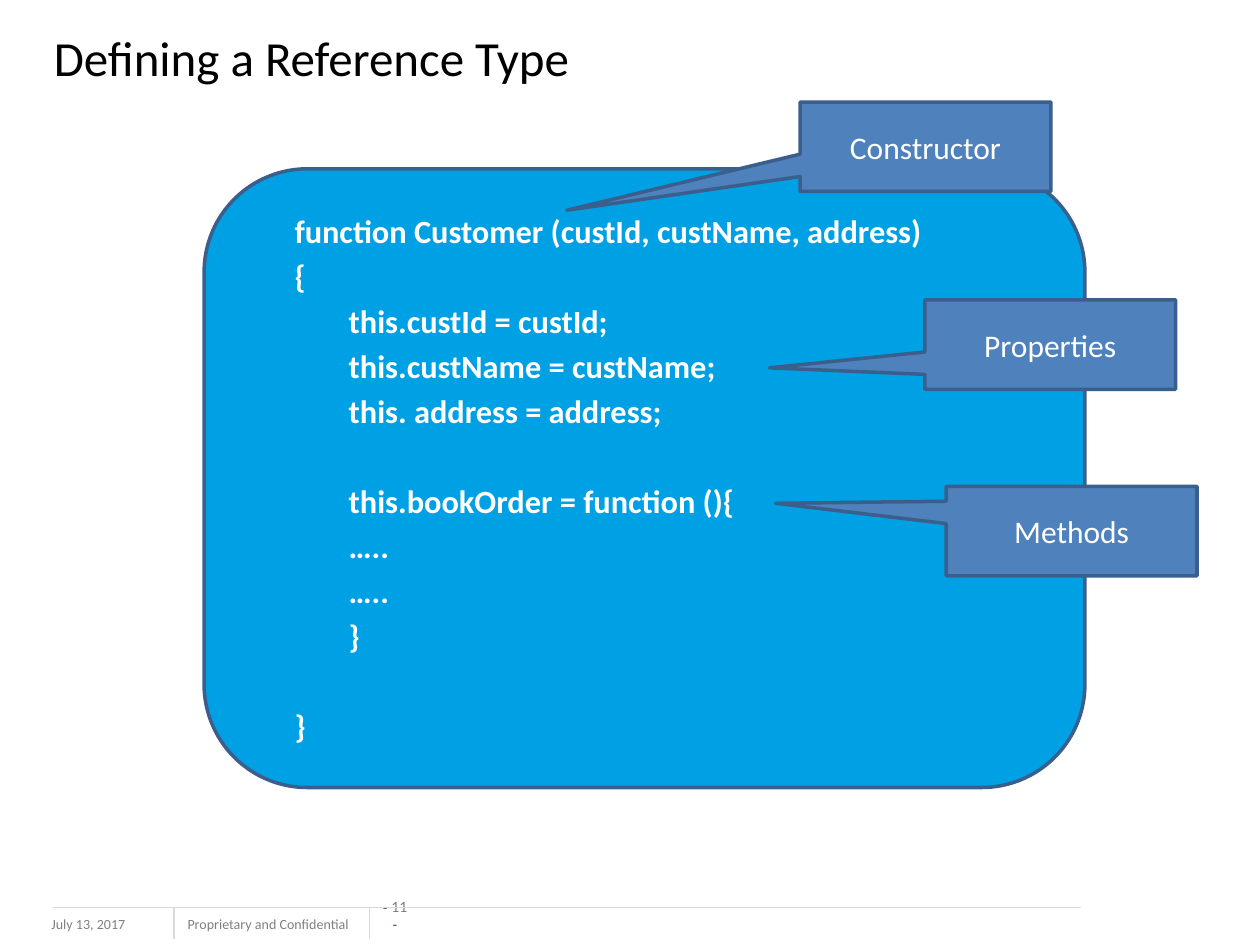
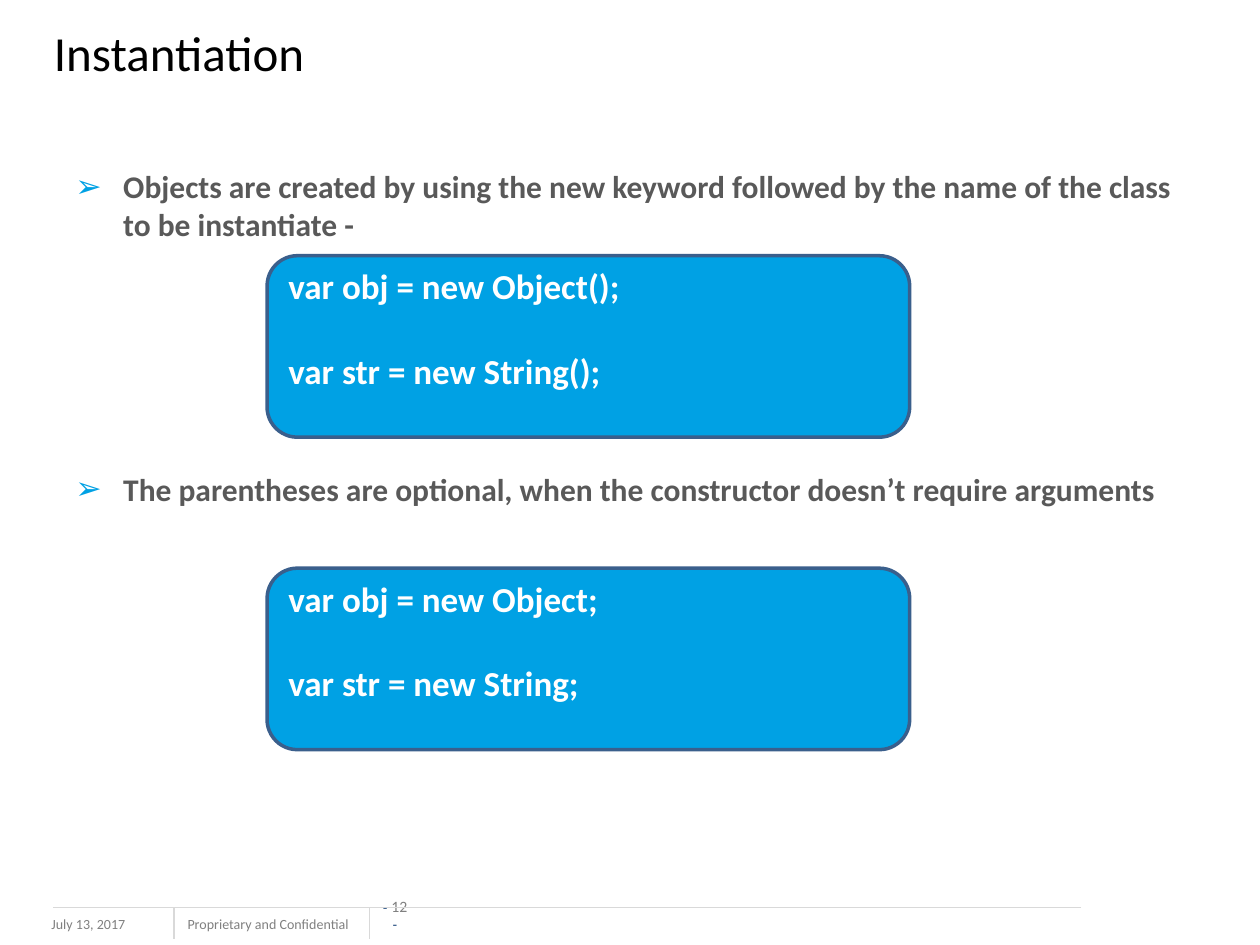
from lxml import etree
from pptx import Presentation
from pptx.dml.color import RGBColor
from pptx.enum.shapes import MSO_CONNECTOR as CONN, MSO_SHAPE as SHAPE
from pptx.enum.text import MSO_ANCHOR as ANCHOR, PP_ALIGN as ALIGN
from pptx.oxml.ns import qn
from pptx.util import Inches, Pt

BLACK = RGBColor(0x00, 0x00, 0x00)
WHITE = RGBColor(0xFF, 0xFF, 0xFF)
TEXT_GREY = RGBColor(0x59, 0x59, 0x59)
FOOT_GREY = RGBColor(0x80, 0x80, 0x80)
RULE_GREY = RGBColor(0xD9, 0xD9, 0xD9)
NAVY = RGBColor(0x1F, 0x49, 0x7D)
SKY = RGBColor(0x00, 0xA1, 0xE4)
STEEL = RGBColor(0x4F, 0x81, 0xBD)
EDGE = RGBColor(0x3A, 0x5F, 0x8C)

prs = Presentation()
prs.slide_width, prs.slide_height = Inches(10), Inches(7.5)

# Grid of 100 columns by 75 rows
COL = prs.slide_width / 100
ROW = prs.slide_height / 75


def add_box(s, x, y, w, h, shape=None, fill=None, anchor=ANCHOR.TOP):
    """Place a text box, or an outlined preset shape, on the grid."""
    at = [int(n) for n in (x * COL, y * ROW, w * COL, h * ROW)]
    if shape is None:
        sp = s.shapes.add_textbox(*at)
    else:
        sp = s.shapes.add_shape(shape, *at)
        sp.shadow.inherit = False
        sp.fill.solid()
        sp.fill.fore_color.rgb = fill
        sp.line.color.rgb = EDGE
        sp.line.width = Pt(2)
    sp.text_frame.word_wrap = True
    sp.text_frame.vertical_anchor = anchor
    return sp


def add_run(p, text, size, color, bold=False, font="Calibri"):
    r = p.add_run()
    r.text = text
    r.font.name, r.font.size, r.font.bold = font, Pt(size), bold
    r.font.color.rgb = color


# Shared parts: footer, rules and title
RULES = [(85.8, 72, 4.2, 72), (13.8, 72, 13.8, 74.5), (29.3, 72, 29.3, 74.5)]
TITLES = [("Defining a Reference Type", None), ("Instantiation", Pt(28))]

slides = []
for number, (title, spacing) in enumerate(TITLES, start=11):
    s = prs.slides.add_slide(prs.slide_layouts[6])
    slides.append(s)

    for x, w, text in [(3.1, 13.3, "July 13, 2017"),
                       (13.9, 15.7, "Proprietary and Confidential")]:
        tf = add_box(s, x, 72.2, w, 2.5).text_frame
        add_run(tf.paragraphs[0], text, 8, FOOT_GREY)

    tf = add_box(s, 30.1, 72.5, 2.5, 1.5, anchor=ANCHOR.BOTTOM).text_frame
    tf.margin_left = tf.margin_right = tf.margin_top = tf.margin_bottom = 0
    p = tf.paragraphs[0]
    p.alignment = ALIGN.CENTER
    add_run(p, "- ", 8, NAVY, font="Arial")
    add_run(p, f"{number} ", 9, FOOT_GREY)
    add_run(p, "-", 8, NAVY, font="Arial")

    for x1, y1, x2, y2 in RULES:
        rule = s.shapes.add_connector(CONN.STRAIGHT, int(x1 * COL), int(y1 * ROW),
                                      int(x2 * COL), int(y2 * ROW))
        rule.line.color.rgb = RULE_GREY
        rule.line.width = Pt(0.75)
        etree.SubElement(rule._element.spPr, qn("a:effectLst"))

    tf = add_box(s, 3.3, 0.2, 90, 8.7, anchor=ANCHOR.MIDDLE).text_frame
    p = tf.paragraphs[0]
    if spacing:
        p.line_spacing = spacing
    add_run(p, title, 28, BLACK)

reference, instantiation = slides

# Reference type: code panel, as (indent level, space before, line)
TIGHT, GAP = 3.4, 29.4
INDENTS = [3.8 * COL, 8.1 * COL]
CODE = [
    (0, 0, "function Customer (custId, custName, address)"),
    (0, TIGHT, "{"),
    (1, TIGHT, "this.custId = custId;"),
    (1, TIGHT, "this.custName = custName;"),
    (1, TIGHT, "this. address = address;"),
    (1, GAP, "this.bookOrder = function (){"),
    (1, TIGHT, "….."),
    (1, TIGHT, "….."),
    (1, TIGHT, "}"),
    (0, GAP, "}"),
]
tf = add_box(reference, 16.2, 13.4, 69.9, 49.1, SHAPE.ROUNDED_RECTANGLE, SKY,
             ANCHOR.MIDDLE).text_frame
for i, (level, before, line) in enumerate(CODE):
    p = tf.paragraphs[0] if i == 0 else tf.add_paragraph()
    p.alignment = ALIGN.LEFT
    p._p.get_or_add_pPr().set("marL", str(int(INDENTS[level])))
    if before:
        p.space_before = Pt(before)
    add_run(p, line, 18.5, WHITE, bold=True)

# Reference type: callouts with their tail positions
CALLOUTS = [
    ("Constructor", 63.5, 8.1, -1.43, 0.71),
    ("Properties", 73.4, 23.8, -1.12, 0.26),
    ("Methods", 75.1, 38.6, -1.18, -0.31),
]
for label, x, y, tail_x, tail_y in CALLOUTS:
    sp = add_box(reference, x, y, 19.9, 7.1, SHAPE.RECTANGULAR_CALLOUT, STEEL,
                 ANCHOR.MIDDLE)
    sp.adjustments[0], sp.adjustments[1] = tail_x, tail_y
    p = sp.text_frame.paragraphs[0]
    p.alignment = ALIGN.CENTER
    add_run(p, label, 18, WHITE)

# Instantiation: bulleted statements
BULLETS = [
    (0, "Objects are created by using the new keyword followed by the name "
        "of the class to be instantiate -"),
    (129.5, "The parentheses are optional, when the constructor doesn’t "
            "require arguments"),
]
tf = add_box(instantiation, 5, 12.8, 91, 49.5).text_frame
for i, (before, text) in enumerate(BULLETS):
    p = tf.paragraphs[0] if i == 0 else tf.add_paragraph()
    if before:
        p.space_before = Pt(before)
    pPr = p._p.get_or_add_pPr()
    pPr.set("marL", str(int(INDENTS[0])))
    pPr.set("indent", str(-int(INDENTS[0])))
    color = etree.SubElement(pPr, qn("a:buClr"))
    etree.SubElement(color, qn("a:srgbClr"), val=str(SKY))
    etree.SubElement(pPr, qn("a:buFont"), typeface="Arial")
    etree.SubElement(pPr, qn("a:buChar"), char="➢")
    add_run(p, text, 18, TEXT_GREY, bold=True)

# Instantiation: code panels, with and without parentheses
for y, ending in [(20.3, "();"), (45.1, ";")]:
    tf = add_box(instantiation, 21.2, y, 51, 14.4, SHAPE.ROUNDED_RECTANGLE,
                 SKY).text_frame
    tf.margin_top = 0
    for i, line in enumerate(["var obj = new Object", "var str = new String"]):
        p = tf.paragraphs[0] if i == 0 else tf.add_paragraph()
        p.alignment = ALIGN.LEFT
        if i:
            p.space_before = Pt(24.4)
        add_run(p, line + ending, 20, WHITE, bold=True)

prs.save("out.pptx")
